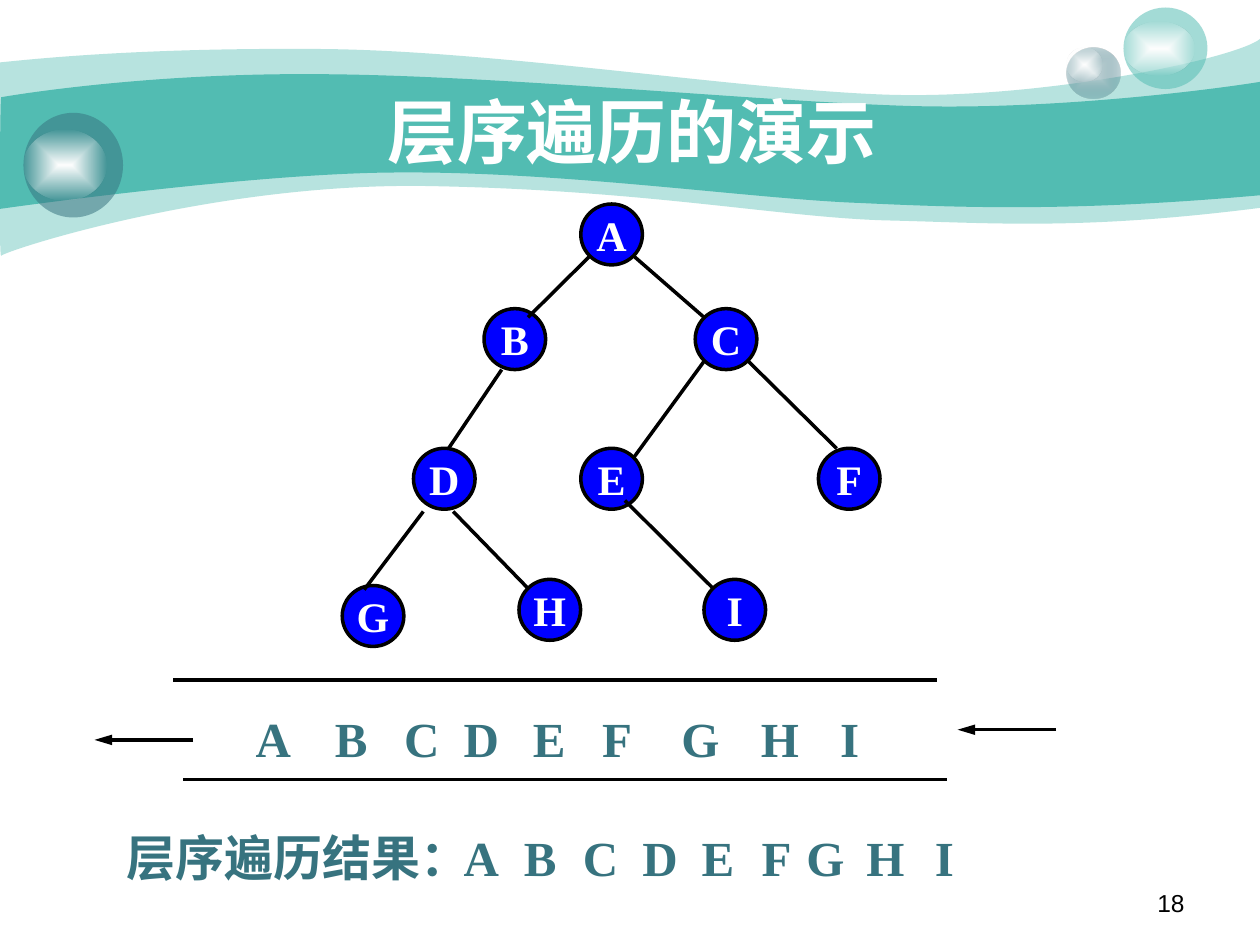
from dataclasses import dataclass

from lxml import etree
from pptx import Presentation
from pptx import util as u
from pptx.dml.color import RGBColor
from pptx.enum import shapes, text
from pptx.oxml import parse_xml
from pptx.oxml.ns import nsdecls, qn


@dataclass(frozen=True)
class Theme:
    teal: str = "52BCB2"
    slate: str = "37737F"
    mist: str = "CCDBDE"
    node: str = "0000FF"
    ink: str = "000000"
    white: str = "FFFFFF"
    latin: str = "Times New Roman"
    chinese: str = "Noto Sans CJK SC"
    number_font: str = "Arial"
    title_size: int = 40
    letter_size: int = 28
    node_size: int = 24
    number_size: int = 14
    line: int = 2


theme = Theme()

TITLE = "层序遍历的演示"
RESULT_LABEL = "层序遍历结果："
PAGE = "18"

WAVES = [
    (41, (0, 35.7), [
        [(17, 34), (77, 27.4), (177.8, 28)], [(278, 28), (414, 50.4), (503.3, 54)],
        [(592, 57.6), (705.6, 33.8), (720, 22.3)], [(720, 118.8)],
        [(618, 131.8), (566.6, 127.4), (507.6, 126)],
        [(448, 124.6), (371, 108.7), (247, 106.4)],
        [(123.8, 103.7), (2.9, 143.3), (0.7, 146.2)], [(-0.7, 149.8), (0, 54), (0, 35.7)]]),
    (100, (0.7, 55.6), [
        [(1.4, 55.4), (79.2, 41.8), (178.6, 42.4)], [(278, 42.5), (428.4, 57.6), (517, 60.5)],
        [(605.5, 63.4), (702.7, 49.7), (720, 46.8)], [(720, 111.6)],
        [(614.2, 121), (550.8, 118.8), (491, 116)],
        [(431.3, 113.8), (321.8, 97.9), (228.2, 98.6)],
        [(146.2, 98.6), (-1.4, 119.5), (-0.7, 119.5)], [(0, 119.5), (0, 55.4), (0.7, 55.6)]]),
]

FADE = [(0, theme.white, 100), (100, theme.white, 0)]
ORBS = [
    ((609.4, 27, 30.8, 29.4), [(0, theme.mist, 100), (100, theme.slate, 31)]),
    ((609.4, 27, 20.2, 19.4), FADE),
    ((642, 4.3, 48, 46.6), [(0, theme.teal, 53)]),
    ((642, 12.2, 40.3, 31), FADE),
    ((13.4, 64.5, 56.9, 59.8), [(0, theme.slate, 53)]),
    ((13.4, 74.4, 47.5, 40.3), FADE),
]

NODE_WIDTH, NODE_HEIGHT = 35.2, 34.8
NODE_CENTRES = {
    "A": (349.5, 134), "B": (294.2, 193.8), "C": (414.9, 193.8),
    "D": (253.9, 273.6), "E": (349.5, 273.6), "F": (485.3, 273.6),
    "G": (213.2, 352), "H": (314.2, 348.5), "I": (419.9, 348.5),
}
BRANCHES = [
    (337, 146.4, 301.7, 181.4), (362.2, 146.4, 402.4, 181.4),
    (286.7, 211.2, 256.3, 256.3), (402.4, 206.4, 362.2, 261.4),
    (427.6, 206.4, 478.1, 256.3), (241.9, 292.3, 208.1, 337),
    (259, 292.3, 301.7, 336.2), (357.1, 286, 407.5, 336.2),
]

QUEUE_LEFTS = [139, 184.3, 223.9, 257.8, 297.4, 337, 382.3, 427.7, 473]
QUEUE_WALLS = [(99.1, 388.7, 535.7, 388.7), (104.8, 445.4, 541.4, 445.4)]
QUEUE_ARROWS = [(110.4, 422.8, 54, 422.8), (603.5, 417, 547.2, 417)]

RESULT_LEFTS = [257.8, 292.3, 326, 360, 393.9, 428.2, 453.8, 488, 527.2]
RESULT_WIDTHS = [33.8, 33.1, 34.6, 34.6, 33.1, 31.7, 36, 36, 25.2]


def points(*lengths):
    return [u.Pt(length) for length in lengths]


def write(frame, words, font=theme.latin, size=theme.letter_size, color=theme.slate,
          bold=True, align=text.PP_ALIGN.JUSTIFY, spacing=None, wrap=True, grow=True):
    frame.word_wrap = wrap
    if grow:
        frame.auto_size = text.MSO_AUTO_SIZE.SHAPE_TO_FIT_TEXT
    paragraph = frame.paragraphs[0]
    paragraph.alignment = align
    paragraph.line_spacing = spacing
    run = paragraph.add_run()
    run.text = words
    run.font.name, run.font.size, run.font.bold = font, u.Pt(size), bold
    run.font.color.rgb = RGBColor.from_string(color)
    east_asian = etree.SubElement(run.font._element, qn("a:ea"))
    east_asian.set("typeface", theme.chinese)


def add_words(slide, box, words, **style):
    write(slide.shapes.add_textbox(*points(*box)).text_frame, words, **style)


def color_xml(color, alpha):
    opacity = f'<a:alpha val="{alpha * 1000}"/>' if alpha < 100 else ""
    return f'<a:srgbClr val="{color}">{opacity}</a:srgbClr>'


def paint(shape, stops):
    shape.shadow.inherit = False
    shape.line.fill.background()
    shape.fill.background()
    if len(stops) == 1:
        _, color, alpha = stops[0]
        xml = f'<a:solidFill {nsdecls("a")}>{color_xml(color, alpha)}</a:solidFill>'
    else:
        listed = "".join(f'<a:gs pos="{position * 1000}">{color_xml(color, alpha)}</a:gs>'
                         for position, color, alpha in stops)
        xml = (f'<a:gradFill {nsdecls("a")} rotWithShape="1"><a:gsLst>{listed}</a:gsLst>'
               '<a:path path="rect"><a:fillToRect l="50000" t="50000" r="50000" b="50000"/>'
               '</a:path></a:gradFill>')
    properties = shape._element.spPr
    properties.replace(properties.find(qn("a:noFill")), parse_xml(xml))


def add_wave(slide, alpha, start, segments):
    builder = slide.shapes.build_freeform(*points(*start))
    builder.add_line_segments([points(*corner) for segment in segments for corner in segment],
                              close=True)
    wave = builder.convert_to_shape()
    strokes = iter(list(wave._element.iter(qn("a:lnTo"))))
    for segment in segments:
        first, *others = [next(strokes) for _ in segment]
        if others:
            first.tag = qn("a:cubicBezTo")
            for stroke in others:
                first.append(stroke[0])
                stroke.getparent().remove(stroke)
    paint(wave, [(0, theme.teal, alpha)])


def add_oval(slide, box):
    return slide.shapes.add_shape(shapes.MSO_SHAPE.OVAL, *points(*box))


def add_node(slide, letter, centre):
    x, y = centre
    node = add_oval(slide, (x - NODE_WIDTH / 2, y - NODE_HEIGHT / 2, NODE_WIDTH, NODE_HEIGHT))
    paint(node, [(0, theme.node, 100)])
    node.line.color.rgb = RGBColor.from_string(theme.ink)
    node.line.width = u.Pt(theme.line)
    node.text_frame.vertical_anchor = text.MSO_ANCHOR.MIDDLE
    write(node.text_frame, letter, size=theme.node_size, color=theme.white,
          align=text.PP_ALIGN.CENTER, wrap=False, grow=False)


def add_line(slide, ends, arrow=False):
    line = slide.shapes.add_connector(shapes.MSO_CONNECTOR.STRAIGHT, *points(*ends))
    line.line.color.rgb = RGBColor.from_string(theme.ink)
    line.line.width = u.Pt(theme.line)
    if arrow:
        head = etree.SubElement(line.line._get_or_add_ln(), qn("a:tailEnd"))
        head.set("type", "triangle")
        head.set("len", "lg")
    etree.SubElement(line._element.spPr, qn("a:effectLst"))


def main():
    deck = Presentation()
    deck.slide_width, deck.slide_height = points(720, 540)
    slide = deck.slides.add_slide(deck.slide_layouts[6])

    for wave in WAVES:
        add_wave(slide, *wave)
    for box, stops in ORBS:
        paint(add_oval(slide, box), stops)
    add_words(slide, (516.2, 504, 167.8, 25.2), PAGE, font=theme.number_font,
              size=theme.number_size, color=theme.ink, bold=False,
              align=text.PP_ALIGN.RIGHT, grow=False)

    for letter, centre in NODE_CENTRES.items():
        add_node(slide, letter, centre)
    for ends in BRANCHES + QUEUE_WALLS:
        add_line(slide, ends)
    for ends in QUEUE_ARROWS:
        add_line(slide, ends, arrow=True)

    for letter, left in zip(NODE_CENTRES, QUEUE_LEFTS):
        add_words(slide, (left, 394.6, 39.6, 47.5), letter, spacing=1.2)
    add_words(slide, (65.2, 462.6, 232.6, 47.5), RESULT_LABEL, spacing=1.2)
    for letter, left, width in zip(NODE_CENTRES, RESULT_LEFTS, RESULT_WIDTHS):
        if letter in "AI":
            add_words(slide, (left, 462.6, width, 47.5), letter, spacing=1.2)
        else:
            add_words(slide, (left, 469.4, width, 41), letter, align=text.PP_ALIGN.LEFT)

    add_words(slide, (126, 46.8, 470.2, 55.4), TITLE, font=theme.chinese,
              size=theme.title_size, color=theme.white, align=text.PP_ALIGN.CENTER)
    deck.save("out.pptx")


if __name__ == "__main__":
    main()
